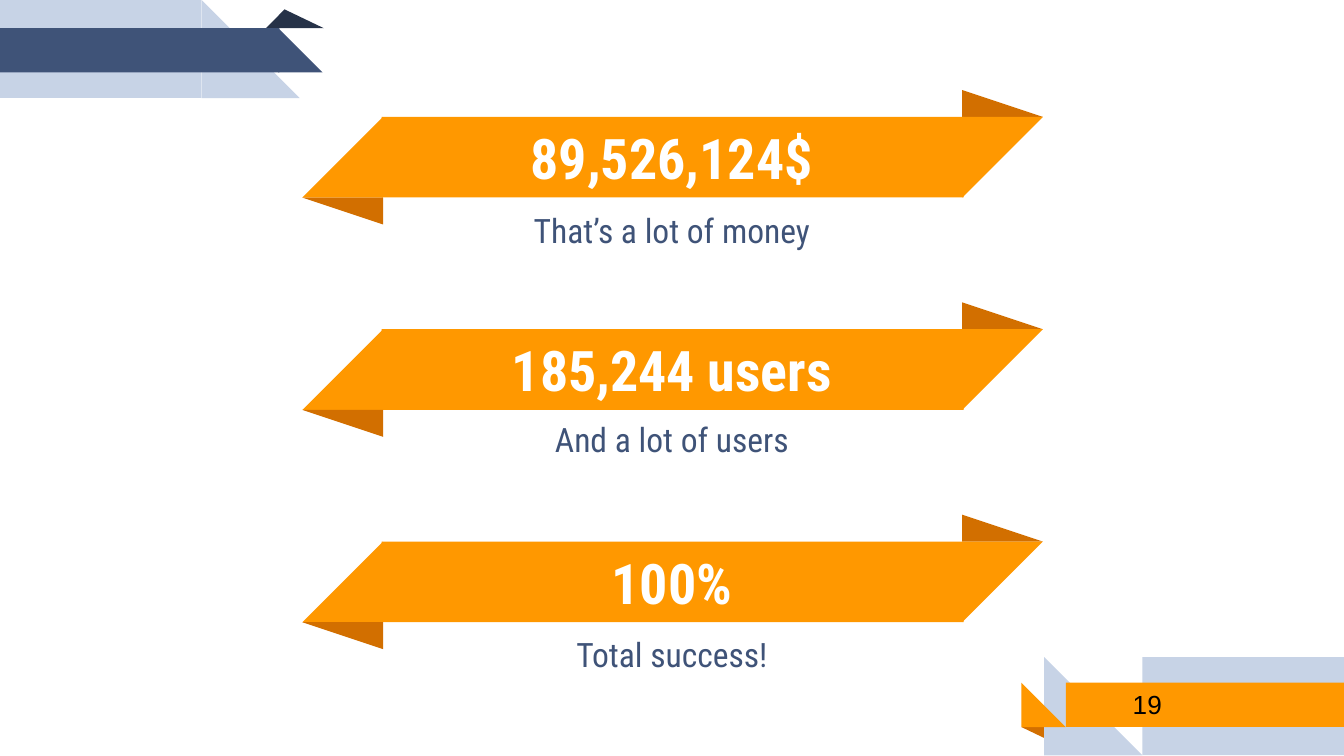
from dataclasses import dataclass

from pptx import Presentation
from pptx.dml.color import RGBColor
from pptx.enum.shapes import MSO_SHAPE
from pptx.enum.text import MSO_ANCHOR, MSO_AUTO_SIZE, PP_ALIGN
from pptx.util import Inches, Pt

RECT = MSO_SHAPE.RECTANGLE
WEDGE = MSO_SHAPE.RIGHT_TRIANGLE
FOLD = MSO_SHAPE.ISOSCELES_TRIANGLE
MIDDLE = MSO_ANCHOR.MIDDLE
FIXED = MSO_AUTO_SIZE.NONE
LEFT, CENTER = PP_ALIGN.LEFT, PP_ALIGN.CENTER


@dataclass
class Theme:
    orange: str = "FF9800"
    rust: str = "D26F00"
    pale: str = "C7D3E6"
    navy: str = "3F5378"
    night: str = "263248"
    white: str = "FFFFFF"
    black: str = "000000"
    font: str = "Roboto Condensed"
    plain: str = "Arial"
    big: int = 30
    mid: int = 18
    small: int = 14


class Deck:
    def __init__(self, theme, slide):
        self.theme = theme
        self.slide = slide

    def shape(self, kind, x, y, w, h, color, turn=0, tip=None):
        item = self.slide.shapes.add_shape(
            kind, Inches(x), Inches(y), Inches(w), Inches(h))
        item.shadow.inherit = False
        item.fill.solid()
        item.fill.fore_color.rgb = RGBColor.from_string(color)
        item.line.fill.background()
        item.rotation = turn
        if tip is not None:
            item.adjustments[0] = tip

    def ribbon(self, y):
        """Band with slanted ends and a fold at each tip."""
        t = self.theme
        self.shape(FOLD, 7.16, y - 0.2, 0.6, 0.2, t.rust, tip=0)
        self.shape(RECT, 2.84, y, 4.33, 0.6, t.orange)
        self.shape(WEDGE, 7.16, y, 0.6, 0.6, t.orange, turn=90)
        self.shape(WEDGE, 2.25, y, 0.6, 0.6, t.orange, turn=270)
        self.shape(FOLD, 2.25, y + 0.6, 0.6, 0.2, t.rust, turn=180, tip=0)

    def corner(self, x, y, wedge, left, top, tip, color):
        """Pale block and colored band, each with a wedge beside it."""
        pale = self.theme.pale
        self.shape(RECT, x, y, 1.5, 0.73, pale)
        self.shape(WEDGE, wedge, y, 0.73, 0.73, pale)
        self.shape(RECT, left, top, 2.08, 0.33, color)
        self.shape(WEDGE, tip, top, 0.33, 0.33, color)

    def text(self, words, x, y, w, h, size, color, font=None, bold=False,
             align=CENTER, after=0, holder=None):
        shapes = self.slide.shapes
        box = holder or shapes.add_textbox(0, 0, 0, 0)
        box.left, box.top = Inches(x), Inches(y)
        box.width, box.height = Inches(w), Inches(h)
        # Keep the text in front of the ribbons
        shapes.element.append(box.element)
        frame = box.text_frame
        frame.word_wrap = True
        frame.auto_size = FIXED
        frame.vertical_anchor = MIDDLE
        frame.margin_left = frame.margin_right = Inches(0.1)
        frame.margin_top = frame.margin_bottom = Inches(0.1)
        para = frame.paragraphs[0]
        para.alignment = align
        para.space_before, para.space_after = Pt(0), Pt(after)
        run = para.add_run()
        run.text = words
        run.font.name = font or self.theme.font
        run.font.size = Pt(size)
        run.font.bold = bold
        run.font.color.rgb = RGBColor.from_string(color)


def main():
    # Wide 16:9 slide
    show = Presentation()
    show.slide_width = Inches(10)
    show.slide_height = Inches(10 * 9 / 16)
    slide = show.slides.add_slide(show.slide_layouts[0])
    theme = Theme()
    deck = Deck(theme, slide)

    # Bottom right corner
    deck.shape(FOLD, 7.6, 5.41, 0.43, 0.14, theme.rust, turn=180, tip=0.32)
    deck.corner(8.5, 4.89, wedge=7.77, left=7.93, top=5.08, tip=7.6,
                color=theme.orange)

    # Top left corner
    deck.shape(FOLD, 1.98, 0.07, 0.43, 0.14, theme.night, tip=0.32)
    deck.corner(0, 0, wedge=1.5, left=0, top=0.21, tip=2.07,
                color=theme.navy)

    # Ribbons with a figure and a caption: words, caption top and height
    facts = [
        ("89,526,124$", "That’s a lot of money", 1.46, 0.51),
        ("185,244 users", "And a lot of users", 3.04, 0.45),
        ("100%", "Total success!", 4.64, 0.45),
    ]
    holders = [(slide.shapes.title, slide.placeholders[1])]
    holders += [(None, None)] * 2
    for i, (fact, (head, sub)) in enumerate(zip(facts, holders)):
        figure, note, top, high = fact
        y = 0.87 + 1.58 * i
        deck.ribbon(y)
        deck.text(figure, 2.86, y + 0.01, 4.28, 0.58, theme.big, theme.white,
                  bold=True, holder=head)
        deck.text(note, 2.86, top, 4.28, high, theme.mid, theme.navy,
                  after=10, holder=sub)

    # Page number
    deck.text("19", 8.33, 5.07, 1.63, 0.34, theme.small, theme.black,
              font=theme.plain, align=LEFT)

    show.save("out.pptx")


if __name__ == "__main__":
    main()
